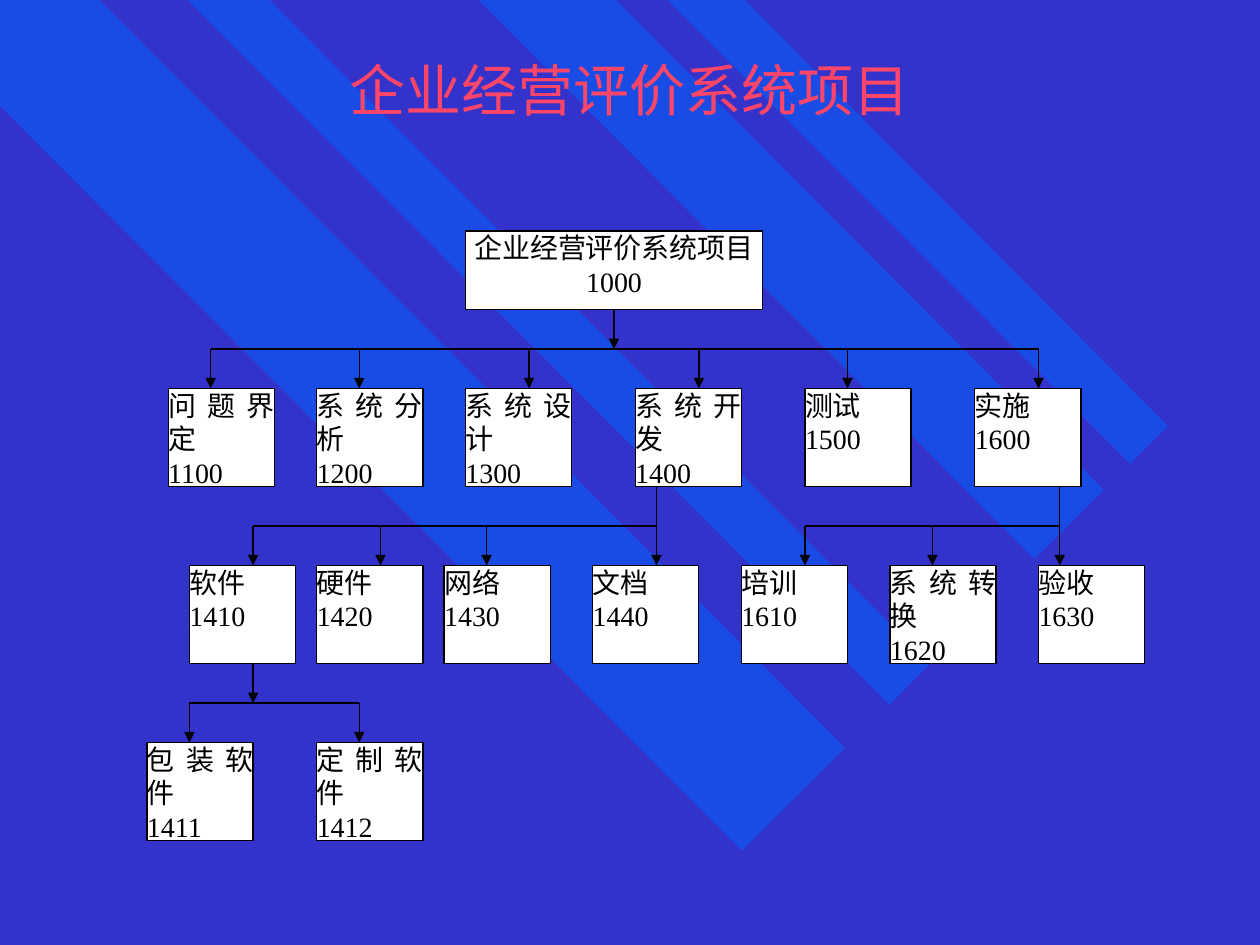
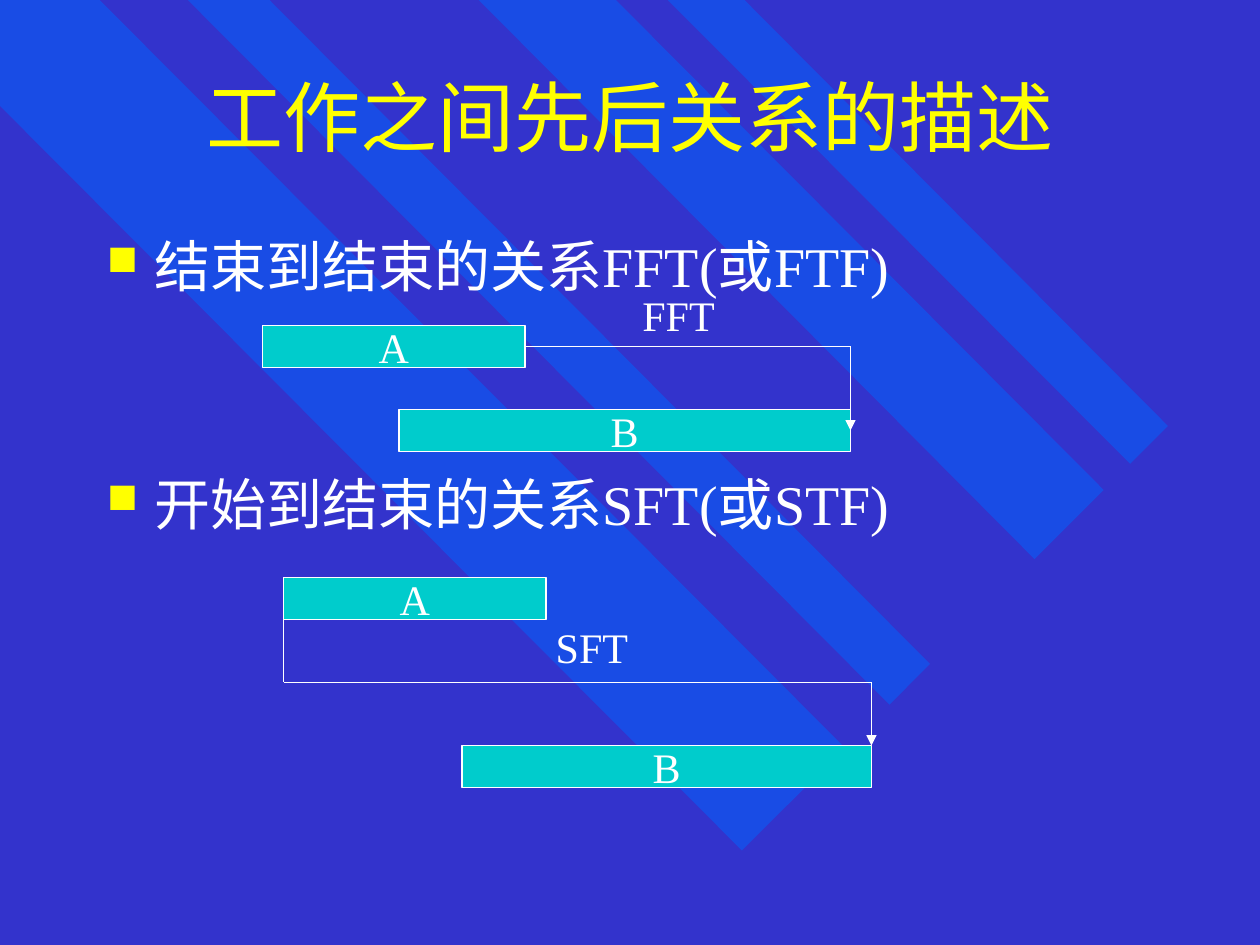
from dataclasses import dataclass

from lxml.etree import SubElement as Sub
from pptx import Presentation
from pptx.dml.color import RGBColor
from pptx.enum.shapes import MSO_CONNECTOR as Link, MSO_SHAPE as Form
from pptx.enum.text import MSO_ANCHOR as Anchor, MSO_AUTO_SIZE as Fit, PP_ALIGN as Align
from pptx.oxml.ns import qn
from pptx.util import Pt

FONT = "Times New Roman"
BLUE, BAND, WHITE, BLACK = "3333CC", "0066FF", "FFFFFF", "000000"
YELLOW, RED, TEAL = "FFFF00", "FF4568", "00CCCC"

# Diagonal background bands, corners in points
BANDS = [
    [(482.8, 427.3), (57, 0), (0, 0), (0, 60.5), (424, 486)],
    [(154, 0), (531.4, 379.4), (508.3, 402.7), (107.3, 0)],
    [(352, 0), (630.7, 280), (591.2, 319.5), (273.6, 0)],
    [(381.6, 0), (645.8, 265), (667.4, 243.4), (425.5, 0)],
]


@dataclass
class Task:
    name: str
    code: str
    col: int
    row: int
    wide: int = 5
    high: int = 5
    align: Align = Align.JUSTIFY


@dataclass
class Branch:
    bus: int
    trunk: int
    top: int
    end: int
    drops: list[int]
    home: str = ""


@dataclass
class Bar:
    name: str
    x: float
    y: float
    wide: float


@dataclass
class Tag:
    text: str
    x: float
    y: float


# The work breakdown lies on a grid of small cells
LEFT, TOP, CELL_W, CELL_H = 84, 132, 12.13, 11.24
TASKS = [
    Task("企业经营评价系统项目", "1000", 15, 0, 14, 4, Align.CENTER),
    Task("问题界定", "1100", 1, 8),
    Task("系统分析", "1200", 8, 8),
    Task("系统设计", "1300", 15, 8),
    Task("系统开发", "1400", 23, 8),
    Task("测试", "1500", 31, 8),
    Task("实施", "1600", 39, 8),
    Task("软件", "1410", 2, 17),
    Task("硬件", "1420", 8, 17),
    Task("网络", "1430", 14, 17),
    Task("文档", "1440", 21, 17),
    Task("培训", "1610", 28, 17),
    Task("系统转换", "1620", 35, 17),
    Task("验收", "1630", 42, 17),
    Task("包装软件", "1411", 0, 26),
    Task("定制软件", "1412", 8, 26),
]
BRANCHES = [
    Branch(6, 22, 4, 6, [3, 10, 18, 26, 33, 42], home="1000"),
    Branch(15, 24, 13, 17, [5, 11, 16]),
    Branch(15, 43, 13, 17, [31, 37]),
    Branch(24, 5, 22, 24, [2, 10]),
]


def rgb(code: str) -> RGBColor:
    return RGBColor.from_string(code)


def style(para, size: float, color: str, align=None) -> None:
    para.font.name, para.font.size = FONT, Pt(size)
    para.font.color.rgb = rgb(color)
    para.alignment = align


def pad(frame, x: float, y: float) -> None:
    frame.margin_left = frame.margin_right = Pt(x)
    frame.margin_top = frame.margin_bottom = Pt(y)


def box(slide, x: float, y: float, wide: float, high: float,
        fill: str, edge: str, weight: float):
    shape = slide.shapes.add_shape(Form.RECTANGLE, Pt(x), Pt(y), Pt(wide), Pt(high))
    shape.shadow.inherit = False
    shape.fill.solid()
    shape.fill.fore_color.rgb = rgb(fill)
    shape.line.color.rgb = rgb(edge)
    shape.line.width = Pt(weight)
    return shape


def line(slide, start: tuple, end: tuple, color: str, weight: float, arrow=False):
    link = slide.shapes.add_connector(Link.STRAIGHT, *map(Pt, start + end))
    link.line.color.rgb = rgb(color)
    link.line.width = Pt(weight)
    props = link.element.spPr
    if arrow:
        Sub(props.find(qn("a:ln")), qn("a:tailEnd"), type="triangle")
    Sub(props, qn("a:effectLst"))
    return link


def add_bands(deck, slide) -> None:
    """Build the bands and move them behind everything on the master."""
    master = deck.slide_master
    master.background.fill.solid()
    master.background.fill.fore_color.rgb = rgb(BLUE)
    for num, points in enumerate(BANDS):
        first, *rest = [(Pt(x), Pt(y)) for x, y in points]
        pen = slide.shapes.build_freeform(*first)
        pen.add_line_segments(rest, close=True)
        band = pen.convert_to_shape()
        band.shadow.inherit = False
        band.fill.solid()
        band.fill.fore_color.rgb = rgb(BAND)
        band.line.fill.background()
        tint = band.element.spPr.find(qn("a:solidFill"))[0]
        Sub(tint, qn("a:alpha"), val="50000")
        band.element.xpath("p:nvSpPr/p:cNvPr")[0].set("id", str(100 + num))
        master.shapes.element.insert(2 + num, band.element)


def add_slide(deck, text: str, high: float, size: float, color: str):
    slide = deck.slides.add_slide(deck.slide_layouts[5])
    title = slide.shapes.title
    title.left, title.top, title.width, title.height = map(Pt, (54, 18, 612, high))
    frame = title.text_frame
    frame.text = text
    frame.auto_size = Fit.NONE
    frame.vertical_anchor = Anchor.MIDDLE
    style(frame.paragraphs[0], size, color, Align.CENTER)
    return slide


# Work breakdown chart
def spot(col: float, row: float) -> tuple:
    return LEFT + col * CELL_W, TOP + row * CELL_H


def add_task(slide, task: Task):
    shape = box(slide, *spot(task.col, task.row), task.wide * CELL_W,
                task.high * CELL_H, WHITE, BLACK, 0.75)
    frame = shape.text_frame
    frame.text = f"{task.name}\n{task.code}"
    frame.word_wrap = True
    frame.vertical_anchor = Anchor.TOP
    pad(frame, 0, 0)
    for para in frame.paragraphs:
        style(para, 16, BLACK, task.align)
    return shape


def add_branch(slide, branch: Branch, boxes: dict) -> None:
    def rule(start: tuple, end: tuple, arrow=True):
        return line(slide, spot(*start), spot(*end), BLACK, 0.75, arrow)

    trunk = rule((branch.trunk, branch.top), (branch.trunk, branch.end))
    if branch.home:
        trunk.begin_connect(boxes[branch.home], 2)
    ends = branch.drops + [branch.trunk]
    rule((min(ends), branch.bus), (max(ends), branch.bus), arrow=False)
    for col in branch.drops:
        rule((col, branch.bus), (col, branch.bus + 2))


# Bars and labels of the task relations
def add_bar(slide, bar: Bar):
    shape = box(slide, bar.x, bar.y, bar.wide, 24, TEAL, WHITE, 1)
    frame = shape.text_frame
    frame.text = bar.name
    frame.word_wrap = False
    frame.vertical_anchor = Anchor.MIDDLE
    pad(frame, 7.2, 3.6)
    style(frame.paragraphs[0], 24, WHITE, Align.CENTER)
    return shape


def add_tag(slide, tag: Tag) -> None:
    frame = slide.shapes.add_textbox(Pt(tag.x), Pt(tag.y), Pt(55.5), Pt(36)).text_frame
    frame.text = tag.text
    frame.word_wrap = False
    frame.auto_size = Fit.SHAPE_TO_FIT_TEXT
    style(frame.paragraphs[0], 24, WHITE)


def add_points(slide, points: list[str], gap: float) -> None:
    frame = slide.shapes.add_textbox(Pt(54), Pt(129), Pt(612), Pt(351)).text_frame
    frame.text = "\n".join(points)
    frame.word_wrap = True
    for num, para in enumerate(frame.paragraphs):
        props = para._p.get_or_add_pPr()
        props.set("marL", str(Pt(27)))
        props.set("indent", str(-Pt(27)))
        Sub(Sub(props, qn("a:buClr")), qn("a:srgbClr"), val=YELLOW)
        Sub(props, qn("a:buSzPct"), val="75000")
        Sub(props, qn("a:buChar"), char="■")
        style(para, 32, WHITE)
        para.space_before = Pt(gap if num else 0)


def main() -> None:
    deck = Presentation()
    deck.slide_width, deck.slide_height = Pt(720), Pt(540)

    # Slide 1: work breakdown
    slide = add_slide(deck, "企业经营评价系统项目", 66, 32, RED)
    add_bands(deck, slide)
    boxes = {task.code: add_task(slide, task) for task in TASKS}
    for branch in BRANCHES:
        add_branch(slide, branch, boxes)

    # Slide 2: relations between tasks
    slide = add_slide(deck, "工作之间先后关系的描述", 96, 44, YELLOW)
    add_points(slide, ["结束到结束的关系FFT(或FTF)", "开始到结束的关系SFT(或STF)"], 97.6)

    # Finish to finish
    head = add_bar(slide, Bar("A", 150, 186, 150))
    tail = add_bar(slide, Bar("B", 228, 234, 258))
    line(slide, (300, 198), (486, 198), WHITE, 1).begin_connect(head, 3)
    line(slide, (486, 198), (486, 246), WHITE, 1, True).end_connect(tail, 3)
    add_tag(slide, Tag("FFT", 360, 162))

    # Start to finish
    head = add_bar(slide, Bar("A", 162, 330, 150))
    add_bar(slide, Bar("B", 264, 426, 234))
    line(slide, (162, 342), (162, 390), WHITE, 1).begin_connect(head, 1)
    line(slide, (162, 390), (498, 390), WHITE, 1)
    line(slide, (498, 390), (498, 426), WHITE, 1, True)
    add_tag(slide, Tag("SFT", 310.5, 351.5))

    deck.save("out.pptx")


if __name__ == "__main__":
    main()
